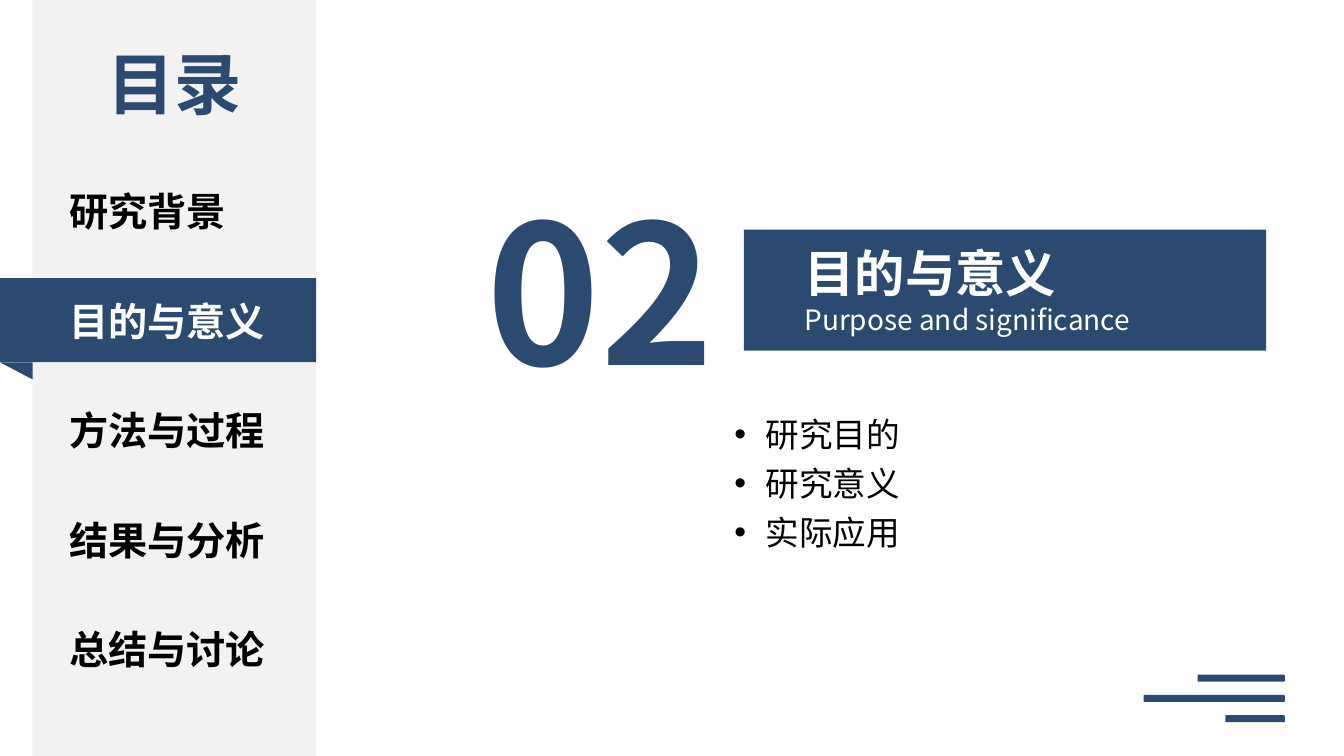
from lxml import etree
from pptx import Presentation
from pptx.dml.color import RGBColor
from pptx.enum import shapes, text
from pptx.oxml.ns import qn
from pptx.util import Cm, Pt

# Content
COLORS = {"navy": "2C4A70", "panel": "F2F2F2", "black": "000000", "white": "FFFFFF"}
FONT = "Noto Sans CJK SC"
CONTENTS_TITLE = "目录"
CHAPTERS = ["研究背景", "目的与意义", "方法与过程", "结果与分析", "总结与讨论"]
CURRENT = 1
SUBTITLE = "Purpose and significance"
TOPICS = ["研究目的", "研究意义", "实际应用"]

# Layout, in centimetres
PAGE_WIDTH, PAGE_HEIGHT = 33.87, 19.05
PANEL_LEFT, PANEL_WIDTH = 0.82, 7.15
CHAPTER_TOP, CHAPTER_STEP = 4.6, 2.76
BAND_TOP, BAND_HEIGHT = 7.01, 2.12
BAR_RIGHT, BAR_TOP, BAR_STEP, BAR_HEIGHT = 32.38, 17, 0.51, 0.18
BAR_WIDTHS = [2.2, 3.56, 1.5]
TOPIC_INDENT = Cm(0.79)

SHAPE = shapes.MSO_SHAPE
LEFT, CENTER = text.PP_ALIGN.LEFT, text.PP_ALIGN.CENTER


def add_block(page, kind, left, top, width, height, color):
    block = page.shapes.add_shape(kind, Cm(left), Cm(top), Cm(width), Cm(height))
    block.shadow.inherit = False
    block.fill.solid()
    block.fill.fore_color.rgb = RGBColor.from_string(COLORS[color])
    block.line.fill.background()
    return block


def add_text(page, place, lines, color, align=LEFT):
    """Each line is (wording, size, bold)."""
    box = page.shapes.add_textbox(*(Cm(length) for length in place))
    frame = box.text_frame
    frame.text = "\n".join(wording for wording, _, _ in lines)
    frame.word_wrap = True
    frame.auto_size = text.MSO_AUTO_SIZE.SHAPE_TO_FIT_TEXT
    for para, (_, size, bold) in zip(frame.paragraphs, lines):
        para.alignment = align
        for span in para.runs:
            span.font.size = Pt(size)
            span.font.bold = bold
            span.font.name = FONT
            span.font.color.rgb = RGBColor.from_string(COLORS[color])
            east_asian = etree.SubElement(span.font._element, qn("a:ea"))
            east_asian.set("typeface", FONT)
    return box


def add_bullet(para):
    properties = para._p.get_or_add_pPr()
    properties.set("marL", str(TOPIC_INDENT))
    properties.set("indent", str(-TOPIC_INDENT))
    etree.SubElement(properties, qn("a:buFont")).set("typeface", "Arial")
    etree.SubElement(properties, qn("a:buChar")).set("char", "•")
    para.line_spacing = Pt(35)


def main():
    deck = Presentation()
    deck.slide_width, deck.slide_height = Cm(PAGE_WIDTH), Cm(PAGE_HEIGHT)
    page = deck.slides.add_slide(deck.slide_layouts[6])

    # Side panel with the folded band behind the current chapter
    add_block(page, SHAPE.RECTANGLE, PANEL_LEFT, 0, PANEL_WIDTH, PAGE_HEIGHT, "panel")
    add_block(page, SHAPE.RECTANGLE, 0, BAND_TOP, PANEL_LEFT + PANEL_WIDTH, BAND_HEIGHT, "navy")
    fold = add_block(page, SHAPE.RIGHT_TRIANGLE, 0, BAND_TOP + BAND_HEIGHT, PANEL_LEFT, 0.43, "navy")
    fold.rotation = 180

    # Contents list
    add_text(page, (1.93, 0.94, 4.93, 2.31), [(CONTENTS_TITLE, 48, True)], "navy", CENTER)
    for index, chapter in enumerate(CHAPTERS):
        place = (1.5, CHAPTER_TOP + index * CHAPTER_STEP, 5.61, 1.45)
        color = "white" if index == CURRENT else "black"
        add_text(page, place, [(chapter, 28, True)], color)

    # Chapter number and title
    add_block(page, SHAPE.RECTANGLE, 18.75, 5.79, 13.16, 3.05, "navy")
    number = f"{CURRENT + 1:02d}"
    add_text(page, (11.05, 4.22, 8.18, 6.15), [(number, 138, True)], "navy", CENTER)
    title = [(CHAPTERS[CURRENT], 36, True), (SUBTITLE, 20, False)]
    add_text(page, (20.02, 5.97, 11.43, 2.64), title, "white")

    # Topics
    topics = [(topic, 24, False) for topic in TOPICS]
    topic_box = add_text(page, (18.26, 10.08, 11.28, 3.89), topics, "black")
    for para in topic_box.text_frame.paragraphs:
        add_bullet(para)

    # Corner bars, aligned right
    for index, width in enumerate(BAR_WIDTHS):
        top = BAR_TOP + index * BAR_STEP
        add_block(page, SHAPE.ROUNDED_RECTANGLE, BAR_RIGHT - width, top, width, BAR_HEIGHT, "navy")

    deck.save("out.pptx")


if __name__ == "__main__":
    main()
